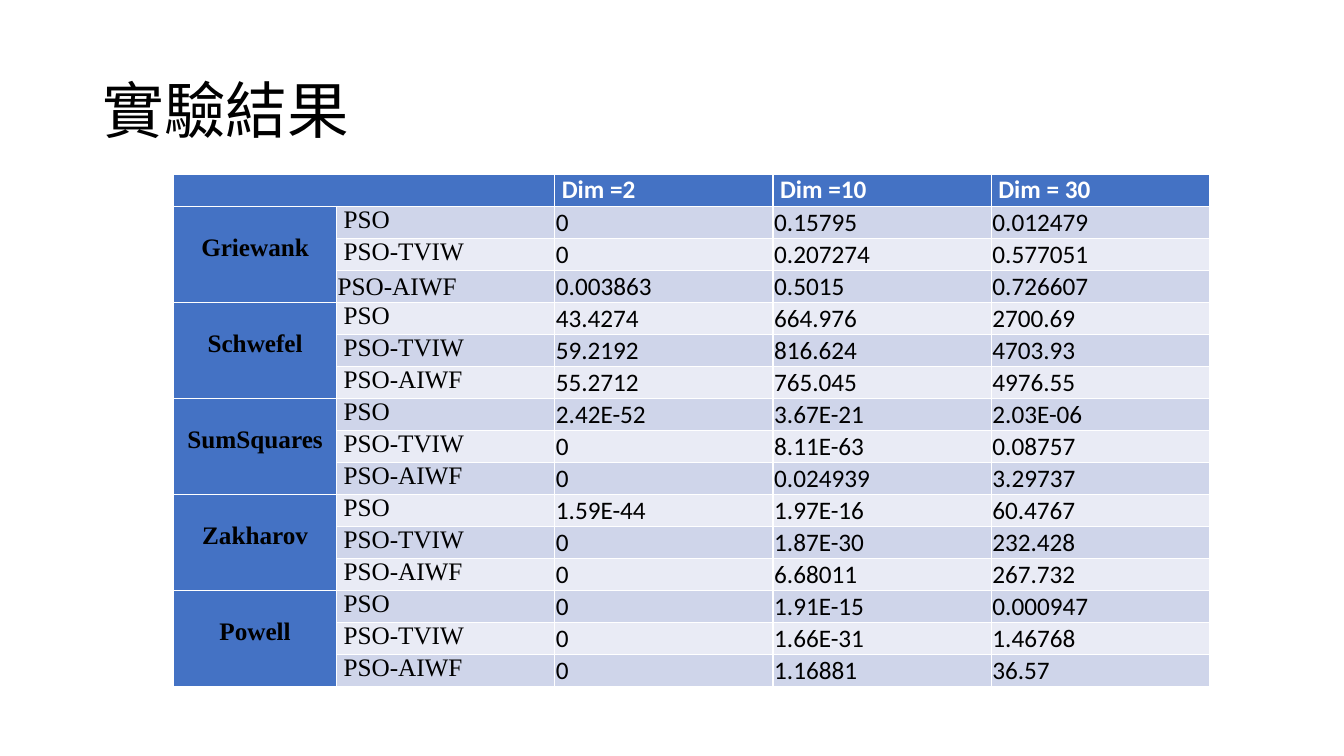
from pptx import Presentation
from pptx.dml.color import RGBColor
from pptx.enum.text import MSO_ANCHOR, PP_ALIGN
from pptx.oxml.ns import qn
from pptx.util import Cm, Pt
from lxml import etree

TOP, MIDDLE = MSO_ANCHOR.TOP, MSO_ANCHOR.MIDDLE
LEFT, CENTER = PP_ALIGN.LEFT, PP_ALIGN.CENTER

SANS, SERIF, CJK = "Calibri", "Times New Roman", "Noto Sans CJK SC"
BLUE, BLACK, WHITE = "4472C4", "000000", "FFFFFF"
BANDS = ("CFD5EA", "E9EBF5")
WIDE = (0.18, 0, 0.18, 0)
TIGHT = (0.03, 0.03, 0.03, 0)
GROUP = (0.18, 0, 0.18, 0.3)

DIMENSIONS = ("Dim =2", "Dim =10", "Dim = 30")
METHODS = ("PSO", "PSO-TVIW", "PSO-AIWF")
RESULTS = {
    "Griewank": (("0", "0.15795", "0.012479"),
                 ("0", "0.207274", "0.577051"),
                 ("0.003863", "0.5015", "0.726607")),
    "Schwefel": (("43.4274", "664.976", "2700.69"),
                 ("59.2192", "816.624", "4703.93"),
                 ("55.2712", "765.045", "4976.55")),
    "SumSquares": (("2.42E-52", "3.67E-21", "2.03E-06"),
                   ("0", "8.11E-63", "0.08757"),
                   ("0", "0.024939", "3.29737")),
    "Zakharov": (("1.59E-44", "1.97E-16", "60.4767"),
                 ("0", "1.87E-30", "232.428"),
                 ("0", "6.68011", "267.732")),
    "Powell": (("0", "1.91E-15", "0.000947"),
               ("0", "1.66E-31", "1.46768"),
               ("0", "1.16881", "36.57")),
}


def rgb(color):
    """Turn a hex string into a colour."""
    return RGBColor.from_string(color)


def add_run(p, text, font, size, color, bold=False):
    """Append one formatted run to a paragraph."""
    r = p.add_run()
    r.text = text
    r.font.name, r.font.size, r.font.bold = font, Pt(size), bold
    r.font.color.rgb = rgb(color)
    return r


def fill_cell(cell, text, fill, font=SANS, color=BLACK, bold=False,
              margins=TIGHT, anchor=MIDDLE, align=LEFT):
    """Fill one table cell with colour and text."""
    cell.fill.solid()
    cell.fill.fore_color.rgb = rgb(fill)
    left, top, right, bottom = margins
    cell.margin_left, cell.margin_top = Cm(left), Cm(top)
    cell.margin_right, cell.margin_bottom = Cm(right), Cm(bottom)
    cell.vertical_anchor = anchor
    p = cell.text_frame.paragraphs[0]
    p.alignment = align
    if text:
        add_run(p, text, font, 18, color, bold)


def add_title(s, text, left, top, width, height):
    """Place the slide title in its box."""
    sp = s.shapes.title
    sp.left, sp.top = Cm(left), Cm(top)
    sp.width, sp.height = Cm(width), Cm(height)
    tf = sp.text_frame
    tf.word_wrap, tf.vertical_anchor = True, MIDDLE
    p = tf.paragraphs[0]
    p.alignment, p.line_spacing = LEFT, 0.9
    r = add_run(p, text, CJK, 44, BLACK)
    etree.SubElement(r.font._element, qn("a:ea"), typeface=CJK)


def add_results(s, left, top, width, height):
    """Place the table of results by function, method and dimension."""
    rows = 1 + len(RESULTS) * len(METHODS)
    table = s.shapes.add_table(rows, 2 + len(DIMENSIONS), Cm(left), Cm(top),
                               Cm(width), Cm(height)).table
    name_width = 4.1
    other_width = (width - name_width) / (1 + len(DIMENSIONS))
    for i, column in enumerate(table.columns):
        column.width = Cm(other_width if i else name_width)
    for row in table.rows:
        row.height = Cm(height / rows)

    table.cell(0, 0).merge(table.cell(0, 1))
    fill_cell(table.cell(0, 0), "", BLUE, margins=WIDE)
    for col, dimension in enumerate(DIMENSIONS, 2):
        fill_cell(table.cell(0, col), dimension, BLUE, color=WHITE, bold=True,
                  margins=WIDE, anchor=TOP)

    for group, (name, records) in enumerate(RESULTS.items()):
        first = 1 + group * len(METHODS)
        table.cell(first, 0).merge(table.cell(first + len(METHODS) - 1, 0))
        fill_cell(table.cell(first, 0), name, BLUE, SERIF, bold=True,
                  margins=GROUP, align=CENTER)
        for row, (method, values) in enumerate(zip(METHODS, records), first):
            band = BANDS[(row - 1) % 2]
            tight = (name, method) == ("Griewank", "PSO-AIWF")
            fill_cell(table.cell(row, 1), method, band, SERIF,
                      margins=TIGHT if tight else WIDE,
                      anchor=MIDDLE if tight else TOP)
            for col, value in enumerate(values, 2):
                fill_cell(table.cell(row, col), value, band)


def main():
    """Build and save the presentation."""
    prs = Presentation()
    prs.slide_width, prs.slide_height = Cm(33.87), Cm(19.05)
    s = prs.slides.add_slide(prs.slide_layouts[5])
    add_title(s, "實驗結果", 2.33, 1.02, 29.21, 3.68)
    add_results(s, 4.38, 4.4, 26.1, 12.8)
    prs.save("out.pptx")


if __name__ == "__main__":
    main()
